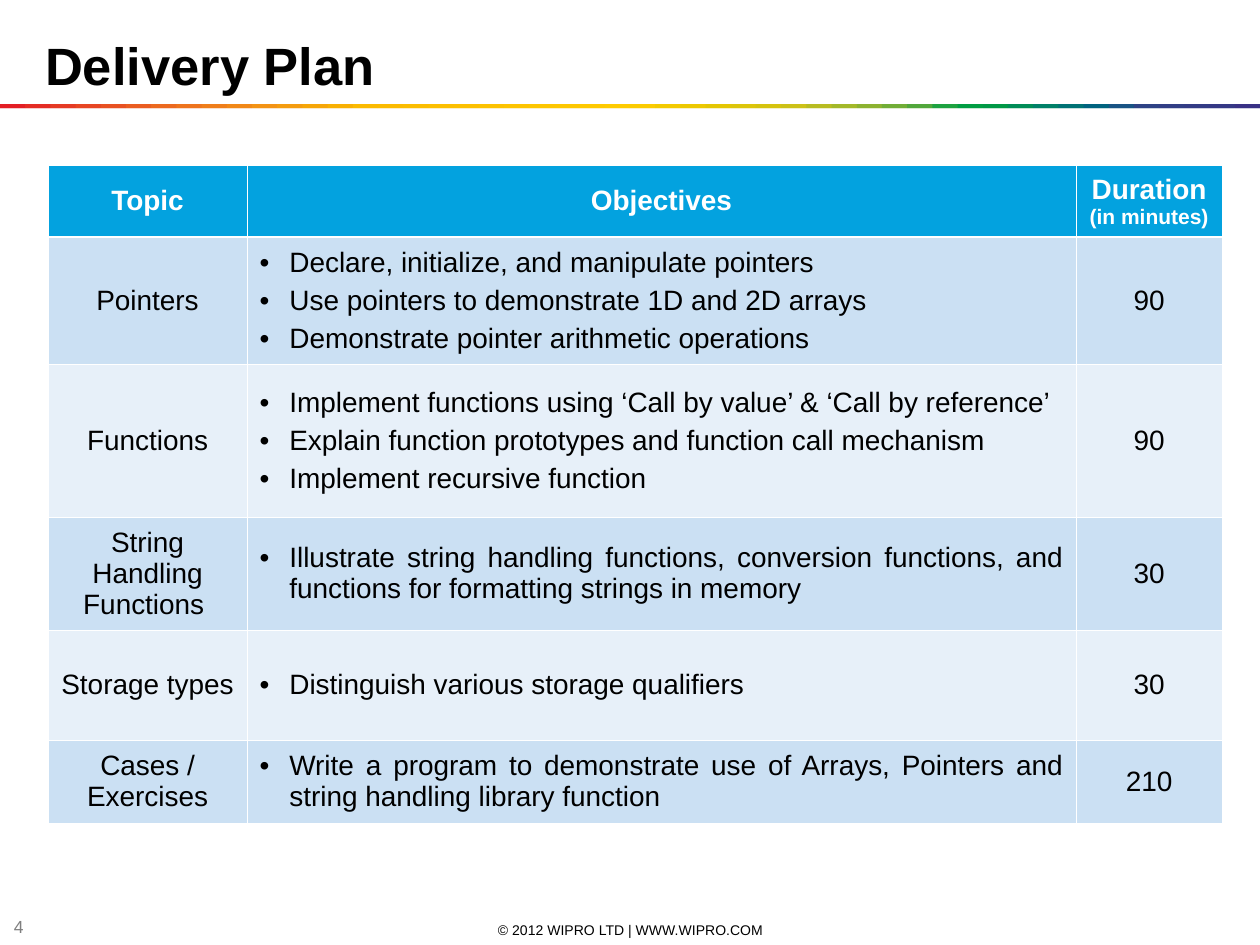
from dataclasses import dataclass

from lxml.etree import SubElement
from pptx import Presentation
from pptx.dml.color import RGBColor
from pptx.enum.shapes import MSO_SHAPE as Shape
from pptx.enum.text import MSO_ANCHOR as Anchor, PP_ALIGN as Align
from pptx.oxml.ns import qn
from pptx.util import Cm, Pt


@dataclass(frozen=True)
class Theme:
    font: str = "Arial"
    black: str = "000000"
    white: str = "FFFFFF"
    grey: str = "7F7F7F"
    header: str = "03A2DF"
    bands: tuple[str, str] = ("CBE0F3", "E7F0F9")
    title_size: float = 30
    body_size: float = 16
    unit_size: float = 12
    number_size: float = 10
    footer_size: float = 8
    thin: float = 0.45
    thick: float = 1.47


@dataclass(frozen=True)
class Label:
    text: str
    box: tuple[float, float, float, float]  # left, top, width, height in cm
    size: float
    color: str
    bold: bool = False
    align: Align = Align.LEFT
    anchor: Anchor = Anchor.MIDDLE
    margin_top: float = 0.13


@dataclass(frozen=True)
class Topic:
    name: str
    objectives: tuple[str, ...]
    minutes: int
    height: float


THEME = Theme()
SLIDE_WIDTH, SLIDE_HEIGHT = 25.4, 19.05

LABELS = (
    Label("© 2012 WIPRO LTD | WWW.WIPRO.COM", (8.69, 18.54, 8.05, 0.41),
          THEME.footer_size, THEME.black, align=Align.CENTER),
    Label("4", (0.03, 18.47, 0.99, 0.41), THEME.number_size, THEME.grey),
    Label("Delivery Plan", (0.66, 0.41, 23.47, 1.55), THEME.title_size, THEME.black,
          bold=True, anchor=Anchor.TOP, margin_top=0.25),
)

RAINBOW = """
E31E24 E31E24 E42C24 E53A24 E74623 E85122 EA5D21 EC691F EE741D EF7E1A F18817
F39314 F49C0F F6A607 F8B002 FBBA00 FBBB00 FBBD00 FCBF00 FCC000 FCC200 FDC400
FDC600 FDC700 FEC900 FECB00 FBCB00 F3CA00 ECC800 E4C602 DCC50A D5C30E CCC117
B8BC21 A3B829 8CB230 71AD36 51A73B 1DA240 009D43 009846 008C57 008068 007275
00637F 185384 2E4285 313E85 333B85 353885 393185
""".split()

COLUMN_WIDTHS = (4.01, 16.71, 2.95)
HEADER_HEIGHT = 1.45
TOPICS = (
    Topic("Pointers", (
        "Declare, initialize, and manipulate pointers",
        "Use pointers to demonstrate 1D and 2D arrays",
        "Demonstrate pointer arithmetic operations"), 90, 2.57),
    Topic("Functions", (
        "Implement functions using ‘Call by value’ & ‘Call by reference’",
        "Explain function prototypes and function call mechanism",
        "Implement recursive function"), 90, 3.07),
    Topic("String Handling Functions ", (
        "Illustrate string handling functions, conversion functions, "
        "and functions for formatting strings in memory",), 30, 2.29),
    Topic("Storage types", ("Distinguish various storage qualifiers",), 30, 2.21),
    Topic("Cases / Exercises", (
        "Write a program to demonstrate use of Arrays, Pointers "
        "and string handling library function",), 210, 1.68),
)


def apply(target, formats: dict) -> None:
    for name, value in formats.items():
        setattr(target, name, value)


def write(paragraph, text: str, size: float, color: str, bold: bool, align: Align) -> None:
    paragraph.text = text
    paragraph.alignment = align
    apply(paragraph.font, {"name": THEME.font, "size": Pt(size), "bold": bold})
    paragraph.font.color.rgb = RGBColor.from_string(color)


def add_label(slide, label: Label) -> None:
    frame = slide.shapes.add_textbox(*map(Cm, label.box)).text_frame
    apply(frame, {"word_wrap": True, "vertical_anchor": label.anchor,
                  "margin_top": Cm(label.margin_top)})
    write(frame.paragraphs[0], label.text, label.size, label.color, label.bold, label.align)


def add_rainbow(slide) -> None:
    """Overlapping segments, each two steps wide and clipped at the slide edges."""
    group = slide.shapes.add_group_shape()
    step = SLIDE_WIDTH / (len(RAINBOW) - 1)
    for index, color in enumerate(RAINBOW):
        left = max(0, (index - 1) * step)
        right = min(SLIDE_WIDTH, (index + 1) * step)
        segment = group.shapes.add_shape(
            Shape.RECTANGLE, Cm(left), Cm(2.1), Cm(right - left), Cm(0.08))
        segment.shadow.inherit = False
        segment.fill.solid()
        segment.fill.fore_color.rgb = RGBColor.from_string(color)
        segment.line.fill.background()


def add_bullet(paragraph) -> None:
    properties = paragraph._p.get_or_add_pPr()
    apply_indent = {"marL": str(Cm(0.6)), "indent": str(-Cm(0.6))}
    for name, value in apply_indent.items():
        properties.set(name, value)
    color = SubElement(properties, qn("a:buClr"))
    SubElement(color, qn("a:srgbClr"), val=THEME.black)
    SubElement(properties, qn("a:buFont"), typeface=THEME.font)
    SubElement(properties, qn("a:buChar"), char="•")


def style_cell(cell, fill: str, top: float, bottom: float) -> None:
    cell.vertical_anchor = Anchor.MIDDLE
    properties = cell._tc.get_or_add_tcPr()
    borders = {"a:lnL": THEME.thin, "a:lnR": THEME.thin, "a:lnT": top, "a:lnB": bottom}
    for tag, width in borders.items():
        line = SubElement(properties, qn(tag), w=str(Pt(width)))
        SubElement(SubElement(line, qn("a:solidFill")), qn("a:srgbClr"), val=THEME.white)
    cell.fill.solid()
    cell.fill.fore_color.rgb = RGBColor.from_string(fill)


def write_header(cells) -> None:
    for cell, text in zip(cells, ("Topic", "Objectives", "Duration")):
        style_cell(cell, THEME.header, THEME.thin, THEME.thick)
        write(cell.text_frame.paragraphs[0], text, THEME.body_size, THEME.white,
              True, Align.CENTER)
    write(cells[2].text_frame.add_paragraph(), "(in minutes)", THEME.unit_size,
          THEME.white, True, Align.CENTER)


def write_topic(cells, topic: Topic, index: int) -> None:
    for cell in cells:
        style_cell(cell, THEME.bands[index % 2],
                   THEME.thin if index else THEME.thick, THEME.thin)
    for cell, text in ((cells[0], topic.name), (cells[2], str(topic.minutes))):
        write(cell.text_frame.paragraphs[0], text, THEME.body_size, THEME.black,
              False, Align.CENTER)
    frame = cells[1].text_frame
    for position, objective in enumerate(topic.objectives):
        paragraph = frame.add_paragraph() if position else frame.paragraphs[0]
        if position:
            paragraph.space_before = Pt(4)
        add_bullet(paragraph)
        write(paragraph, objective, THEME.body_size, THEME.black, False, Align.JUSTIFY)


def add_plan(slide) -> None:
    heights = (HEADER_HEIGHT, *(topic.height for topic in TOPICS))
    table = slide.shapes.add_table(
        len(heights), len(COLUMN_WIDTHS), Cm(0.97), Cm(3.33),
        Cm(sum(COLUMN_WIDTHS)), Cm(sum(heights))).table
    table.horz_banding = False
    for column, width in zip(table.columns, COLUMN_WIDTHS):
        column.width = Cm(width)
    for row, height in zip(table.rows, heights):
        row.height = Cm(height)
    header, *rows = (list(row.cells) for row in table.rows)
    write_header(header)
    for index, (cells, topic) in enumerate(zip(rows, TOPICS)):
        write_topic(cells, topic, index)


def main() -> None:
    presentation = Presentation()
    apply(presentation, {"slide_width": Cm(SLIDE_WIDTH), "slide_height": Cm(SLIDE_HEIGHT)})
    slide = presentation.slides.add_slide(presentation.slide_layouts[6])

    # Footer, page number and title
    for label in LABELS:
        add_label(slide, label)
    # Coloured rule below the title
    add_rainbow(slide)
    # Topics, objectives and durations
    add_plan(slide)

    presentation.save("out.pptx")


if __name__ == "__main__":
    main()
